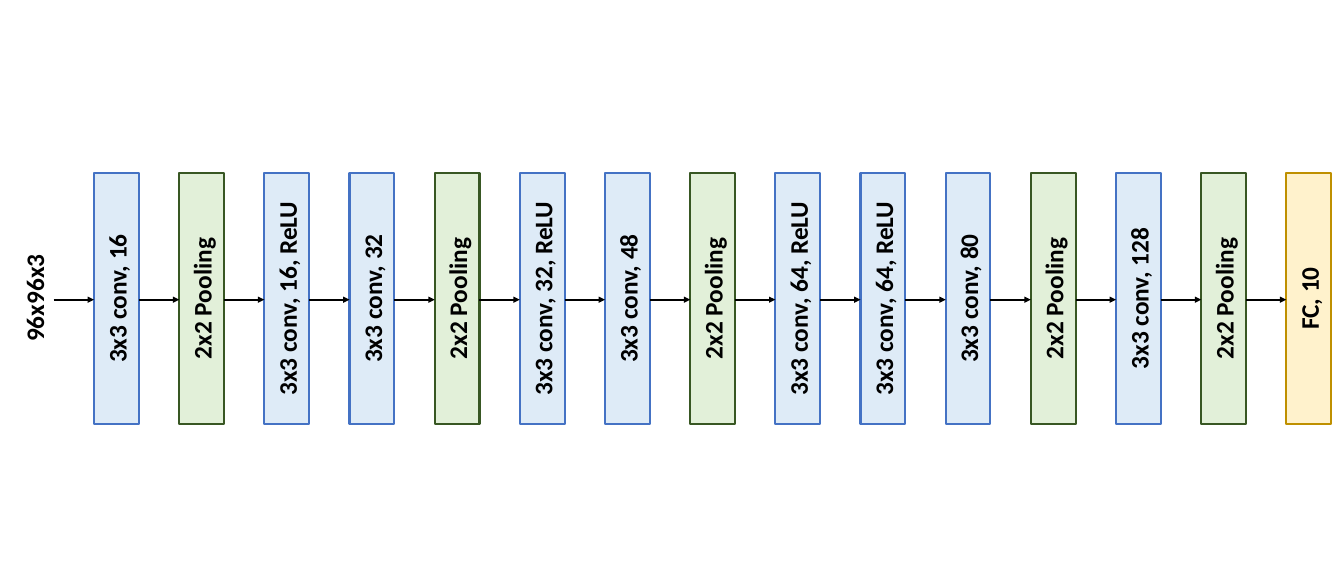
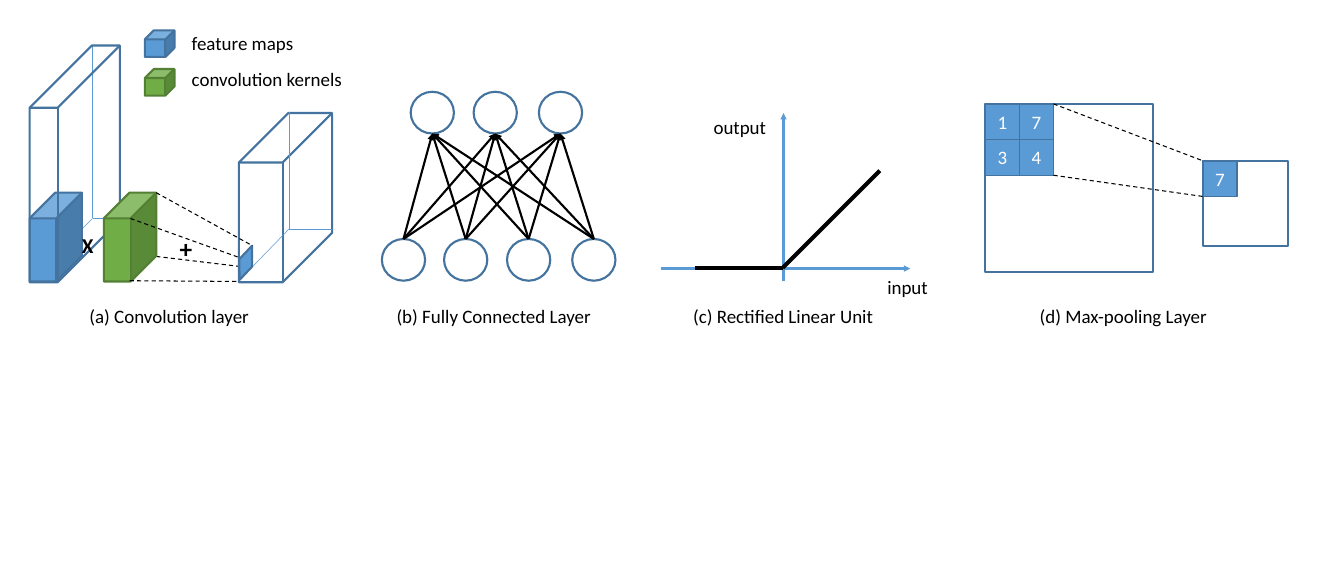
from dataclasses import dataclass
from lxml import etree
from pptx import Presentation
from pptx.dml.color import RGBColor
from pptx.enum.dml import MSO_LINE
from pptx.enum.shapes import MSO_CONNECTOR, MSO_SHAPE
from pptx.enum.text import MSO_ANCHOR, MSO_AUTO_SIZE, PP_ALIGN
from pptx.oxml.ns import qn
from pptx.util import Inches, Pt

RECTANGLE = MSO_SHAPE.RECTANGLE
CUBE = MSO_SHAPE.CUBE
ELLIPSE = MSO_SHAPE.OVAL
PARALLELOGRAM = MSO_SHAPE.PARALLELOGRAM
STRAIGHT = MSO_CONNECTOR.STRAIGHT
DASH = MSO_LINE.DASH
MIDDLE = MSO_ANCHOR.MIDDLE
LEFT, CENTER = PP_ALIGN.LEFT, PP_ALIGN.CENTER
GROW = MSO_AUTO_SIZE.SHAPE_TO_FIT_TEXT
BLANK_LAYOUT = 6


@dataclass(frozen=True)
class Theme:
    """Colours, as (fill, line) pairs where both apply, and type sizes."""
    font: str = "Calibri"
    black: str = "000000"
    white: str = "FFFFFF"
    blue: str = "5B9BD5"
    convolution: tuple = ("DEEBF7", "4472C4")
    pooling: tuple = ("E2F0D9", "385723")
    dense: tuple = ("FFF2CC", "BF9000")
    feature: tuple = ("5B9BD5", "43739E")
    kernel: tuple = ("70AD47", "538035")
    outline: tuple = (None, "43739E")
    node: tuple = ("FFFFFF", "43739E")
    large: int = 24
    medium: int = 20
    small: int = 18


class Deck:
    """Draws styled elements on the current slide."""

    def __init__(self, theme):
        """Start an empty presentation."""
        self.theme = theme
        self.presentation = Presentation()
        self.presentation.slide_width = Inches(17.72)
        self.presentation.slide_height = Inches(7.5)
        self.slide = None

    def new_slide(self):
        """Add a blank slide and make it current."""
        layout = self.presentation.slide_layouts[BLANK_LAYOUT]
        self.slide = self.presentation.slides.add_slide(layout)

    def set_text(self, shape, text, size, color, bold, alignment):
        """Put one formatted paragraph into a shape."""
        shape.text_frame.text = text
        paragraph = shape.text_frame.paragraphs[0]
        paragraph.alignment = alignment
        font = paragraph.runs[0].font
        font.name, font.size, font.bold = self.theme.font, Pt(size), bold
        font.color.rgb = RGBColor.from_string(color)

    def shape(self, kind, box, colors, width=2, adjustment=None):
        """Add a preset shape with a (fill, line) colour pair."""
        shape = self.slide.shapes.add_shape(kind, *map(Inches, box))
        shape.shadow.inherit = False
        fill, line = colors
        if fill:
            shape.fill.solid()
            shape.fill.fore_color.rgb = RGBColor.from_string(fill)
        else:
            shape.fill.background()
        shape.line.color.rgb = RGBColor.from_string(line)
        shape.line.width = Pt(width)
        if adjustment is not None:
            shape.adjustments[0] = adjustment
        return shape

    def layer(self, text, box, colors):
        """Add a network layer whose label reads upwards."""
        shape = self.shape(RECTANGLE, box, colors)
        self.set_text(shape, text, self.theme.large, self.theme.black, True, CENTER)
        shape.text_frame.vertical_anchor = MIDDLE
        shape.text_frame.word_wrap = True
        shape.element.txBody.bodyPr.set("vert", "vert270")

    def cell(self, text, left, top, width, height):
        """Add one filled cell of a pooling grid."""
        shape = self.shape(RECTANGLE, (left, top, width, height), self.theme.feature, 1)
        self.set_text(shape, text, self.theme.small, self.theme.white, False, CENTER)
        shape.text_frame.vertical_anchor = MIDDLE

    def label(self, text, box, size=None, bold=False, alignment=LEFT):
        """Add a one-line text box."""
        shape = self.slide.shapes.add_textbox(*map(Inches, box))
        shape.text_frame.word_wrap = False
        shape.text_frame.auto_size = GROW
        self.set_text(shape, text, size or self.theme.small, self.theme.black, bold, alignment)
        return shape

    def line(self, start, end, color=None, width=2, dashed=False, arrow=False):
        """Add a straight line, optionally dashed or with an arrowhead."""
        connector = self.slide.shapes.add_connector(
            STRAIGHT, *map(Inches, (*start, *end)))
        connector.line.color.rgb = RGBColor.from_string(color or self.theme.black)
        connector.line.width = Pt(width)
        if dashed:
            connector.line.dash_style = DASH
        if arrow:
            etree.SubElement(connector.get_or_add_ln(), qn("a:tailEnd"), type="triangle")
        etree.SubElement(connector.element.spPr, qn("a:effectLst"))


def draw_network(deck):
    """Draw the chain of layers from the input to the classifier."""
    theme = deck.theme
    layers = ["3x3 conv, 16", "2x2 Pooling", "3x3 conv, 16, ReLU", "3x3 conv, 32",
              "2x2 Pooling", "3x3 conv, 32, ReLU", "3x3 conv, 48", "2x2 Pooling",
              "3x3 conv, 64, ReLU", "3x3 conv, 64, ReLU", "3x3 conv, 80",
              "2x2 Pooling", "3x3 conv, 128", "2x2 Pooling", "FC, 10"]
    first, last, width = 1.24, 16.96, 0.59
    step = (last - first) / (len(layers) - 1)
    gap, arrow_y = step - width, 3.95
    deck.new_slide()
    source = deck.label("96x96x3", (-0.31, 3.68, 1.52, 0.5), theme.large, True, CENTER)
    source.rotation = 270
    for index, text in enumerate(layers):
        left = first + index * step
        if "conv" in text:
            colors = theme.convolution
        else:
            colors = theme.pooling if "Pooling" in text else theme.dense
        deck.layer(text, (left, 2.28, width, 3.31), colors)
        deck.line((left - gap, arrow_y), (left, arrow_y), arrow=True)


def draw_hidden_edges(deck, corner, ends):
    """Draw the thin rear edges that meet in one corner of a volume."""
    for end in ends:
        deck.line(end, corner, deck.theme.blue, 0.5)


def draw_convolution(deck):
    """Draw the convolution panel with its legend."""
    theme = deck.theme
    deck.line((2.06, 3.38), (3.31, 3.53), width=1, dashed=True)
    draw_hidden_edges(deck, (1.22, 2.88), [(1.22, 0.6), (1.58, 2.88), (0.39, 3.71)])
    for box, colors, depth in [
            ((0.39, 2.54, 0.69, 1.17), theme.feature, 0.49),
            ((0.39, 0.6, 1.19, 3.12), theme.outline, 0.69),
            ((1.37, 2.54, 0.69, 1.17), theme.kernel, 0.49),
            ((3.15, 1.49, 1.23, 2.23), theme.outline, 0.53)]:
        deck.shape(CUBE, box, colors, adjustment=depth)
    draw_hidden_edges(deck, (3.81, 3.02), [(3.81, 1.48), (4.38, 3.02), (3.15, 3.7)])
    result = deck.shape(PARALLELOGRAM, (3.02, 3.37, 0.44, 0.19), theme.feature,
                        adjustment=1.04)
    result.rotation = 313.4
    for start, end in [((2.06, 2.54), (3.33, 3.24)),
                       ((1.72, 2.88), (3.17, 3.4)),
                       ((1.71, 3.7), (3.15, 3.71))]:
        deck.line(start, end, width=1, dashed=True)
    for text, colors, cube_top, text_top, width in [
            ("feature maps", theme.feature, 0.4, 0.37, 1.56),
            ("convolution kernels", theme.kernel, 0.91, 0.84, 2.24)]:
        deck.shape(CUBE, (1.91, cube_top, 0.39, 0.35), colors, adjustment=0.34)
        deck.label(text, (2.43, text_top, width, 0.4))
    deck.label("X", (0.98, 3.02, 0.38, 0.44), theme.medium, True)
    deck.label("+", (2.27, 3.03, 0.38, 0.5), theme.large, True)


def draw_fully_connected(deck):
    """Draw two rows of nodes and every arrow between them."""
    inputs, outputs = (5.32, 6.14, 6.97, 7.83), (5.7, 6.53, 7.39)
    input_top, output_top, width, height = 3.15, 1.21, 0.57, 0.55
    for centers, top in ((inputs, input_top), (outputs, output_top)):
        for center in centers:
            deck.shape(ELLIPSE, (center - width / 2, top, width, height), deck.theme.node)
    for start in inputs:
        for end in outputs:
            deck.line((start, input_top), (end, output_top + height), arrow=True)


def draw_rectifier(deck):
    """Draw the axes and the rectified linear function."""
    blue = deck.theme.blue
    deck.line((8.71, 3.54), (12, 3.54), blue, arrow=True)
    deck.line((10.33, 3.71), (10.33, 1.49), blue, arrow=True)
    deck.line((9.17, 3.53), (10.33, 3.53), width=4)
    deck.line((10.32, 3.53), (11.6, 2.25), width=4)
    deck.label("input", (11.6, 3.58, 0.74, 0.4))
    deck.label("output", (9.31, 1.48, 0.9, 0.4))


def draw_pooling(deck):
    """Draw a 2x2 window and the single value it is reduced to."""
    left, top, width, height = 12.99, 1.37, 0.45, 0.47
    pooled_left, pooled_top = 15.86, 2.12
    for row, values in enumerate(("17", "34")):
        for column, value in enumerate(values):
            deck.cell(value, left + column * width, top + row * height, width, height)
    deck.cell("7", pooled_left, pooled_top, width, height)
    deck.shape(RECTANGLE, (left, top, 2.21, 2.21), deck.theme.outline)
    deck.shape(RECTANGLE, (pooled_left, pooled_top, 1.12, 1.12), deck.theme.outline)
    window_right = left + 2 * width
    for rows, pooled_rows in ((0, 0), (2, 1)):
        deck.line((window_right, top + rows * height),
                  (pooled_left, pooled_top + pooled_rows * height), width=1, dashed=True)


def draw_layer_types(deck):
    """Draw the four layer panels with their captions."""
    deck.new_slide()
    for draw, caption, left, width in [
            (draw_convolution, "(a) Convolution layer", 1.08, 2.33),
            (draw_fully_connected, "(b) Fully Connected Layer", 5.13, 2.8),
            (draw_rectifier, "(c) Rectified Linear Unit", 9.04, 2.63),
            (draw_pooling, "(d) Max-pooling Layer", 13.61, 2.44)]:
        draw(deck)
        deck.label(caption, (left, 3.96, width, 0.4))


def main():
    """Build both slides and save them."""
    deck = Deck(Theme())
    draw_network(deck)
    draw_layer_types(deck)
    deck.presentation.save("out.pptx")


main()
